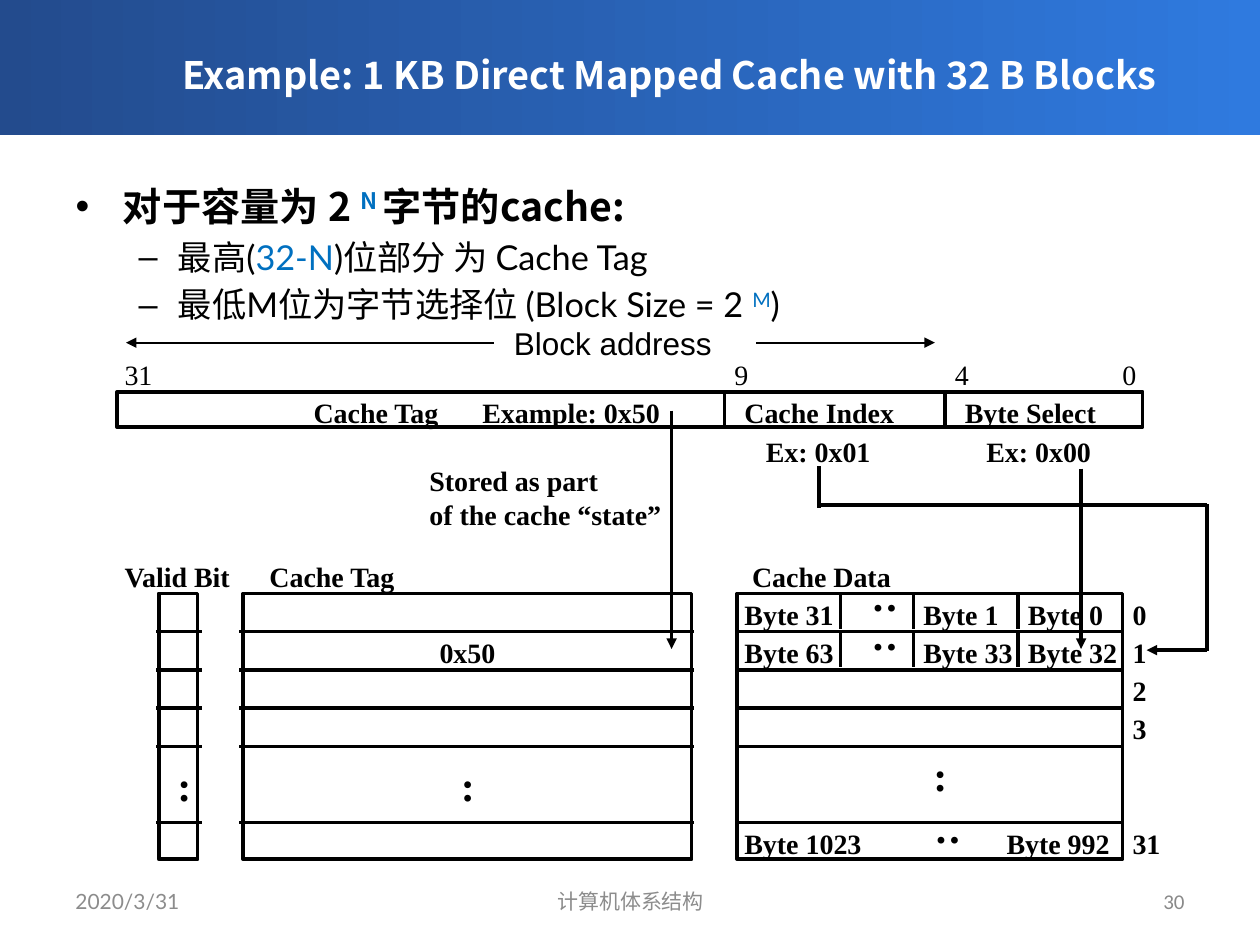
from lxml import etree
from pptx import Presentation
from pptx import util as u
from pptx.dml.color import RGBColor
from pptx.enum import shapes, text
from pptx.oxml.ns import qn

COLORS = {"ink": "000000", "white": "FFFFFF", "accent": "0070C0", "footer": "8C8C8C",
          "number": "898989", "band_left": "234B8D", "band_right": "2F7ADF"}
SANS, SERIF, LATO = "Noto Sans CJK SC", "Times New Roman", "Lato"
LEFT, CENTER, RIGHT = text.PP_ALIGN.LEFT, text.PP_ALIGN.CENTER, text.PP_ALIGN.RIGHT
MIDDLE, TOP = text.MSO_ANCHOR.MIDDLE, text.MSO_ANCHOR.TOP

presentation = Presentation()
presentation.slide_width, presentation.slide_height = u.Inches(10), u.Inches(7.5)
slide = presentation.slides.add_slide(presentation.slide_layouts[1])


def write(shape, paragraphs, format_values, align=LEFT, anchor=TOP):
    """Fill a shape; every paragraph is a list of (text, changed format values)."""
    frame = shape.text_frame
    frame.auto_size, frame.vertical_anchor = text.MSO_AUTO_SIZE.NONE, anchor
    for index, runs in enumerate(paragraphs):
        paragraph = frame.add_paragraph() if index else frame.paragraphs[0]
        paragraph.alignment = align
        for words, changes in runs:
            run = paragraph.add_run()
            run.text = words
            values = {**format_values, **changes}
            run.font.color.rgb = RGBColor.from_string(COLORS[values.pop("color", "ink")])
            raised = values.pop("raised", False)
            for name, value in values.items():
                setattr(run.font, name, value)
            properties = run._r.get_or_add_rPr()
            etree.SubElement(properties, qn("a:ea"), typeface=SANS)
            if raised:
                properties.set("baseline", "30000")
    return frame


def draw_line(x1, y1, x2, y2, width=2, arrow=False):
    line = slide.shapes.add_connector(shapes.MSO_CONNECTOR.STRAIGHT,
                                      *map(u.Inches, (x1, y1, x2, y2)))
    line.line.color.rgb = RGBColor.from_string(COLORS["ink"])
    line.line.width = u.Pt(width)
    if arrow:
        etree.SubElement(line.line._get_or_add_ln(), qn("a:tailEnd"), type="triangle")
    etree.SubElement(line._element.spPr, qn("a:effectLst"))


# Title band, behind the placeholders
band = slide.shapes.add_shape(shapes.MSO_SHAPE.RECTANGLE, 0, 0,
                              presentation.slide_width, u.Inches(1.07))
band.shadow.inherit = False
band.line.fill.background()
band.fill.gradient()
band.fill.gradient_angle = 0
for stop, name in zip(band.fill.gradient_stops, ("band_left", "band_right")):
    stop.color.rgb = RGBColor.from_string(COLORS[name])
slide.shapes._spTree.insert(2, band._element)

# Title and list
title, body = slide.placeholders
for shape, place in ((title, (1.13, 0.16, 8.37, 0.86)), (body, (0.5, 1.38, 9, 1.13))):
    shape.left, shape.top, shape.width, shape.height = map(u.Inches, place)
write(title, [[("Example: 1 KB Direct Mapped Cache with 32 B Blocks", {})]],
      {"size": u.Pt(21.6), "name": SANS, "bold": True, "color": "white"}, CENTER, MIDDLE)

heading = {"size": u.Pt(22.4), "name": SANS, "bold": True}
accent = {"color": "accent"}
raised = {"color": "accent", "raised": True}
frame = write(body, [
    [("对于容量为 2 ", heading), ("N ", {**heading, **raised}), ("字节的cache:", heading)],
    [("最高(", {}), ("32-N", accent), (")位部分 为 Cache Tag", {})],
    [("最低M位为字节选择位 (Block Size = 2 ", {}), ("M", raised), (")", {})],
], {"size": u.Pt(19.6), "name": LATO, "bold": False})
for index, paragraph in enumerate(frame.paragraphs):
    paragraph.level = min(index, 1)
    paragraph.space_before = u.Pt(3.9 if index else 0)
    paragraph.line_spacing = u.Pt(23.4 if index else 28)

# Footer
for words, x, width, align, font, color in (
        ("2020/3/31", 0.5, 2.33, LEFT, LATO, "footer"),
        ("计算机体系结构", 3.42, 3.17, CENTER, LATO, "footer"),
        ("30", 7.17, 2.33, RIGHT, "Calibri", "number")):
    box = slide.shapes.add_textbox(*map(u.Inches, (x, 6.95, width, 0.4)))
    box.text_frame.word_wrap = True
    write(box, [[(words, {})]], {"size": u.Pt(12), "name": font, "color": color}, align, MIDDLE)

# Grid: address bar, then table rows of equal pitch (the fifth row is double)
BAR_TOP, BAR_BOTTOM = 3.11, 3.39
ROW_TOP, PITCH, TABLE_HEIGHT = 4.71, 0.3033, 2.11
row = [ROW_TOP + PITCH * step for step in range(7)]
TAG_X, DATA_X, DATA_RIGHT = 1.93, 5.85, 8.9

# Frames of the address bar and the three tables
for x, y, width, height in ((0.93, BAR_TOP, 8.14, BAR_BOTTOM - BAR_TOP),
                            (1.26, ROW_TOP, 0.31, TABLE_HEIGHT),
                            (TAG_X, ROW_TOP, 3.56, TABLE_HEIGHT),
                            (DATA_X, ROW_TOP, 3.06, TABLE_HEIGHT)):
    frame_box = slide.shapes.add_shape(shapes.MSO_SHAPE.RECTANGLE,
                                       *map(u.Inches, (x, y, width, height)))
    frame_box.shadow.inherit = False
    frame_box.fill.background()
    frame_box.line.color.rgb = RGBColor.from_string(COLORS["ink"])
    frame_box.line.width = u.Pt(2)

# Row rules, byte dividers and address bar dividers
for step in (1, 2, 3, 4, 6):
    for x1, x2 in ((1.24, 1.6), (1.9, 5.51), (DATA_X, DATA_RIGHT)):
        draw_line(x1, row[step], x2, row[step])
for x in (6.67, 7.25, 8.08):
    for y in row[:2]:
        draw_line(x, y, x, y + 0.28)
for x in (5.75, 7.5):
    draw_line(x, BAR_TOP, x, BAR_BOTTOM)

# Arrows from the address fields to the tables
draw_line(5.33, 3.26, 5.33, 5.15, arrow=True)
draw_line(8.58, 3.72, 8.58, 5.15, arrow=True)
draw_line(6.5, 3.7, 6.5, 4.03)
draw_line(6.5, 4.01, 9.58, 4.01)
draw_line(9.58, 4, 9.58, 5.17)
draw_line(9.58, 5.16, 9.1, 5.16, arrow=True)
draw_line(6, 2.72, 7.42, 2.72, 1, True)
draw_line(3.92, 2.72, 1, 2.72, 1, True)

# Labels: text, left, top, width, height, changed format values, rotation
bold, plain, dots = {}, {"bold": False}, {"size": u.Pt(24)}
BIT_Y, FIELD_Y, EXAMPLE_Y, HEAD_Y = 2.79, 3.09, 3.4, 4.39
cell_y = [y - 0.02 for y in row]
LINE = 0.37
labels = [
    ("Block address", 3.98, 2.52, 1.79, 0.4, {"size": u.Pt(18), "name": "Arial", "bold": False}, 0),
    ("Cache Tag", 2.39, FIELD_Y, 1.2, LINE, bold, 0),
    ("Example: 0x50", 3.73, FIELD_Y, 1.63, LINE, bold, 0),
    ("Cache Index", 5.81, FIELD_Y, 1.4, LINE, bold, 0),
    ("Byte Select", 7.56, FIELD_Y, 1.26, LINE, bold, 0),
    ("Ex: 0x01", 5.98, EXAMPLE_Y, 1.04, LINE, bold, 0),
    ("Ex: 0x00", 7.73, EXAMPLE_Y, 1.04, LINE, bold, 0),
    ("Stored as part\nof the cache “state”", 3.31, 3.63, 2.07, 0.64, bold, 0),
    ("Valid Bit", 0.89, HEAD_Y, 1.05, LINE, bold, 0),
    ("Cache Tag", 2.04, HEAD_Y, 1.2, LINE, bold, 0),
    ("Cache Data", 5.87, HEAD_Y, 1.31, LINE, bold, 0),
    ("0x50", 3.39, cell_y[1], 0.65, LINE, bold, 0),
    ("Byte 1023", 5.81, cell_y[6], 1.14, LINE, bold, 0),
    ("Byte 992", 7.89, cell_y[6], 1.03, LINE, bold, 0),
]
for words, x, width in (("31", 0.89, 0.42), ("9", 5.73, 0.31), ("4", 7.48, 0.31), ("0", 8.81, 0.31)):
    labels.append((words, x, BIT_Y, width, LINE, plain, 0))
for step, words in ((0, "0"), (1, "1"), (2, "2"), (3, "3"), (6, "31")):
    labels.append((words, 8.89, cell_y[step], 0.2 + 0.11 * len(words), LINE, bold, 0))
for y, numbers in zip(cell_y, ((31, 1, 0), (63, 33, 32))):
    for x, number in zip((5.81, 7.23, 8.06), numbers):
        labels.append((f"Byte {number}", x, y, 0.92 if number > 9 else 0.8, LINE, bold, 0))
for x, y, rotation in ((1.31, 5.98, 0), (3.56, 5.98, 0), (7.31, 5.9, 0),
                       (6.81, 4.58, 270), (6.81, 4.89, 270), (7.31, 6.42, 270)):
    labels.append((":", x, y, 0.31, 0.5, dots, rotation))

for words, x, y, width, height, changes, rotation in labels:
    box = slide.shapes.add_textbox(*map(u.Inches, (x, y, width, height)))
    box.rotation = rotation
    box.text_frame.word_wrap = False
    write(box, [[(line, changes)] for line in words.split("\n")],
          {"size": u.Pt(16), "name": SERIF, "bold": True})

presentation.save("out.pptx")
